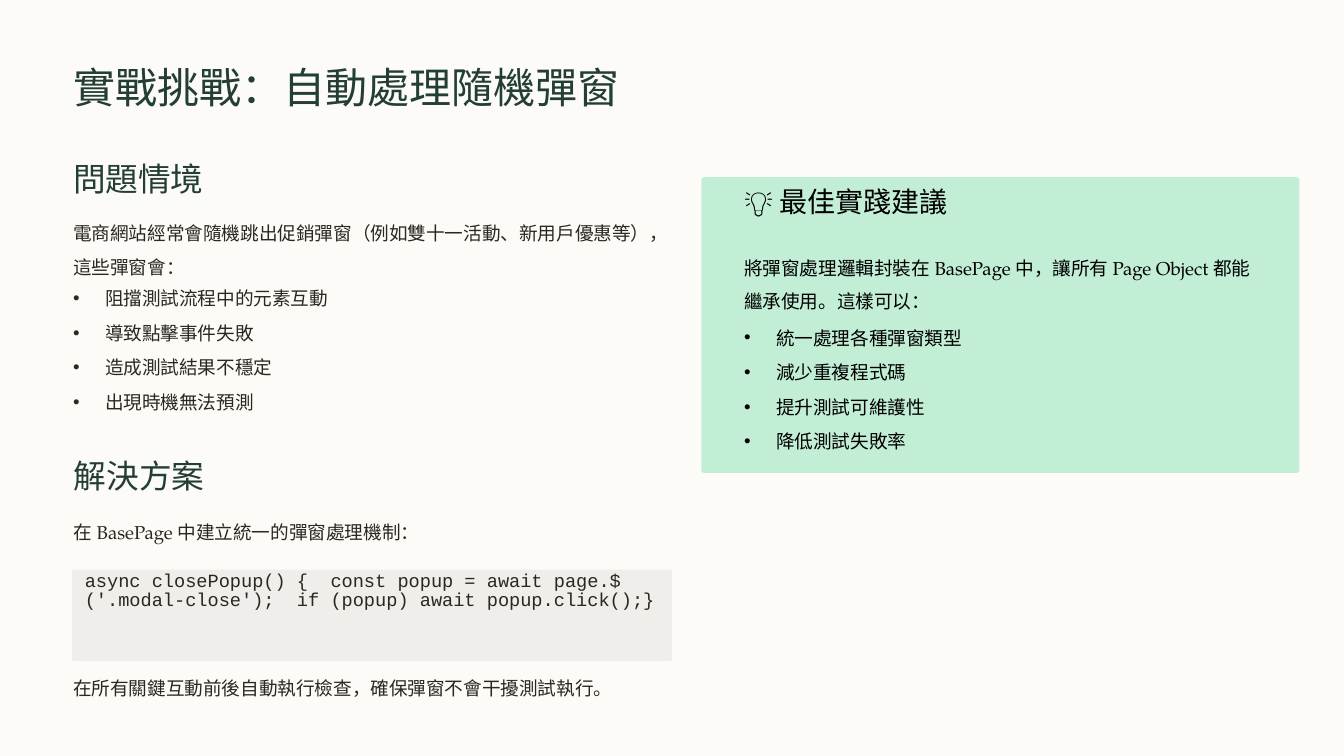
from dataclasses import dataclass

from lxml import etree
from pptx import Presentation
from pptx import util as u
from pptx.dml.color import RGBColor
from pptx.enum import shapes, text
from pptx.oxml import ns


@dataclass(frozen=True)
class Style:
    font: str
    size: float
    color: str
    spacing: float  # exact line height in points


@dataclass(frozen=True)
class Theme:
    background: str = "FCFBF8"
    code_fill: str = "EFEEEB"
    tip_fill: str = "C3EED6"
    title: Style = Style("Lato", 36, "233E32", 31.5)
    heading: Style = Style("Lato", 28, "233E32", 19)
    body: Style = Style("TeX Gyre Pagella", 16, "2C2821", 16)
    code: Style = Style("Courier New", 16, "2C2821", 16)
    tip_heading: Style = Style("Lato", 24, "000000", 15.5)
    tip_body: Style = Style("TeX Gyre Pagella", 16, "000000", 16)
    loose: float = 1.5  # line spacing as a multiple
    bullet_font: str = "Arial"
    bullet_indent: float = 0.38
    bullet_gap: float = 13.7


@dataclass(frozen=True)
class Area:
    """A place on the grid, in columns and rows."""
    left: float
    top: float
    width: float
    height: float


@dataclass(frozen=True)
class Panel:
    area: Area
    fill: str
    corner: float


@dataclass(frozen=True)
class TextBlock:
    area: Area
    style: Style
    lines: tuple[str, ...]
    loose_from: int = 99  # first line that takes the loose spacing
    bullets: bool = False
    wrap: bool = False


THEME = Theme()
COLUMNS, ROWS = 16, 9
LEFT, TIP_LEFT = 0.87, 8.86
WIDE, TIP_WIDE = 7.12, 6.46
LINE, LIST = 0.34, 1.58

PANELS = (
    Panel(Area(0.86, 6.78, 7.14, 1.09), THEME.code_fill, 0.02),
    Panel(Area(8.35, 2.11, WIDE, 3.52), THEME.tip_fill, 0.01),
)

BLOCKS = (
    TextBlock(Area(LEFT, 0.9, WIDE, 0.66), THEME.title, ("實戰挑戰：自動處理隨機彈窗",)),
    # Problem
    TextBlock(Area(LEFT, 2.09, 2.17, 0.4), THEME.heading, ("問題情境",)),
    TextBlock(Area(LEFT, 2.69, WIDE, LINE), THEME.body,
              ("電商網站經常會隨機跳出促銷彈窗（例如雙十一活動、新用戶優惠等），", "這些彈窗會："),
              loose_from=1),
    TextBlock(Area(LEFT, 3.46, WIDE, LIST), THEME.body,
              ("阻擋測試流程中的元素互動", "導致點擊事件失敗", "造成測試結果不穩定", "出現時機無法預測"),
              bullets=True),
    # Solution
    TextBlock(Area(0.88, 5.63, 2.17, 0.4), THEME.heading, ("解決方案",)),
    TextBlock(Area(0.88, 6.24, WIDE, LINE), THEME.body,
              ("在 BasePage 中建立統一的彈窗處理機制：",)),
    TextBlock(Area(1.01, 6.82, 6.85, 0.88), THEME.code,
              ("async closePopup() {  const popup = await page.$('.modal-close');"
               "  if (popup) await popup.click();}",), wrap=True),
    TextBlock(Area(LEFT, 8.1, WIDE, LINE), THEME.body,
              ("在所有關鍵互動前後自動執行檢查，確保彈窗不會干擾測試執行。",)),
    # Best practice
    TextBlock(Area(TIP_LEFT, 2.38, TIP_WIDE, LINE), THEME.tip_heading, ("💡 最佳實踐建議",)),
    TextBlock(Area(TIP_LEFT, 2.92, TIP_WIDE, LINE), THEME.tip_body,
              ("將彈窗處理邏輯封裝在 BasePage 中，讓所有 Page Object 都能", "繼承使用。這樣可以："),
              loose_from=0),
    TextBlock(Area(TIP_LEFT, 3.93, TIP_WIDE, LIST), THEME.tip_body,
              ("統一處理各種彈窗類型", "減少重複程式碼", "提升測試可維護性", "降低測試失敗率"),
              bullets=True),
)


def place(presentation, area: Area) -> tuple[int, int, int, int]:
    column = presentation.slide_width / COLUMNS
    row = presentation.slide_height / ROWS
    return (round(area.left * column), round(area.top * row),
            round(area.width * column), round(area.height * row))


def draw_panel(presentation, slide, panel: Panel) -> None:
    shape = slide.shapes.add_shape(shapes.MSO_SHAPE.ROUNDED_RECTANGLE,
                                   *place(presentation, panel.area))
    shape.adjustments[0] = panel.corner
    shape.shadow.inherit = False
    shape.fill.solid()
    shape.fill.fore_color.rgb = RGBColor.from_string(panel.fill)
    shape.line.fill.background()


def add_bullet(paragraph) -> None:
    properties = paragraph._p.get_or_add_pPr()
    indent = u.Inches(THEME.bullet_indent)
    properties.set("marL", str(indent))
    properties.set("indent", str(-indent))
    etree.SubElement(properties, ns.qn("a:buFont")).set("typeface", THEME.bullet_font)
    etree.SubElement(properties, ns.qn("a:buChar")).set("char", "•")


def draw_text(presentation, slide, block: TextBlock) -> None:
    frame = slide.shapes.add_textbox(*place(presentation, block.area)).text_frame
    frame.margin_left = frame.margin_right = frame.margin_top = frame.margin_bottom = 0
    frame.word_wrap = block.wrap
    frame.vertical_anchor = text.MSO_ANCHOR.TOP
    frame.text = "\n".join(block.lines)
    for index, paragraph in enumerate(frame.paragraphs):
        if block.bullets:
            add_bullet(paragraph)
            if index:
                paragraph.space_before = u.Pt(THEME.bullet_gap)
        loose = index >= block.loose_from
        paragraph.line_spacing = THEME.loose if loose else u.Pt(block.style.spacing)
        for run in paragraph.runs:
            run.font.name = block.style.font
            run.font.size = u.Pt(block.style.size)
            run.font.color.rgb = RGBColor.from_string(block.style.color)


def main() -> None:
    presentation = Presentation()
    presentation.slide_width, presentation.slide_height = u.Inches(16), u.Inches(9)
    slide = presentation.slides.add_slide(presentation.slide_layouts[6])
    slide.background.fill.solid()
    slide.background.fill.fore_color.rgb = RGBColor.from_string(THEME.background)
    for panel in PANELS:
        draw_panel(presentation, slide, panel)
    for block in BLOCKS:
        draw_text(presentation, slide, block)
    presentation.save("out.pptx")


if __name__ == "__main__":
    main()
